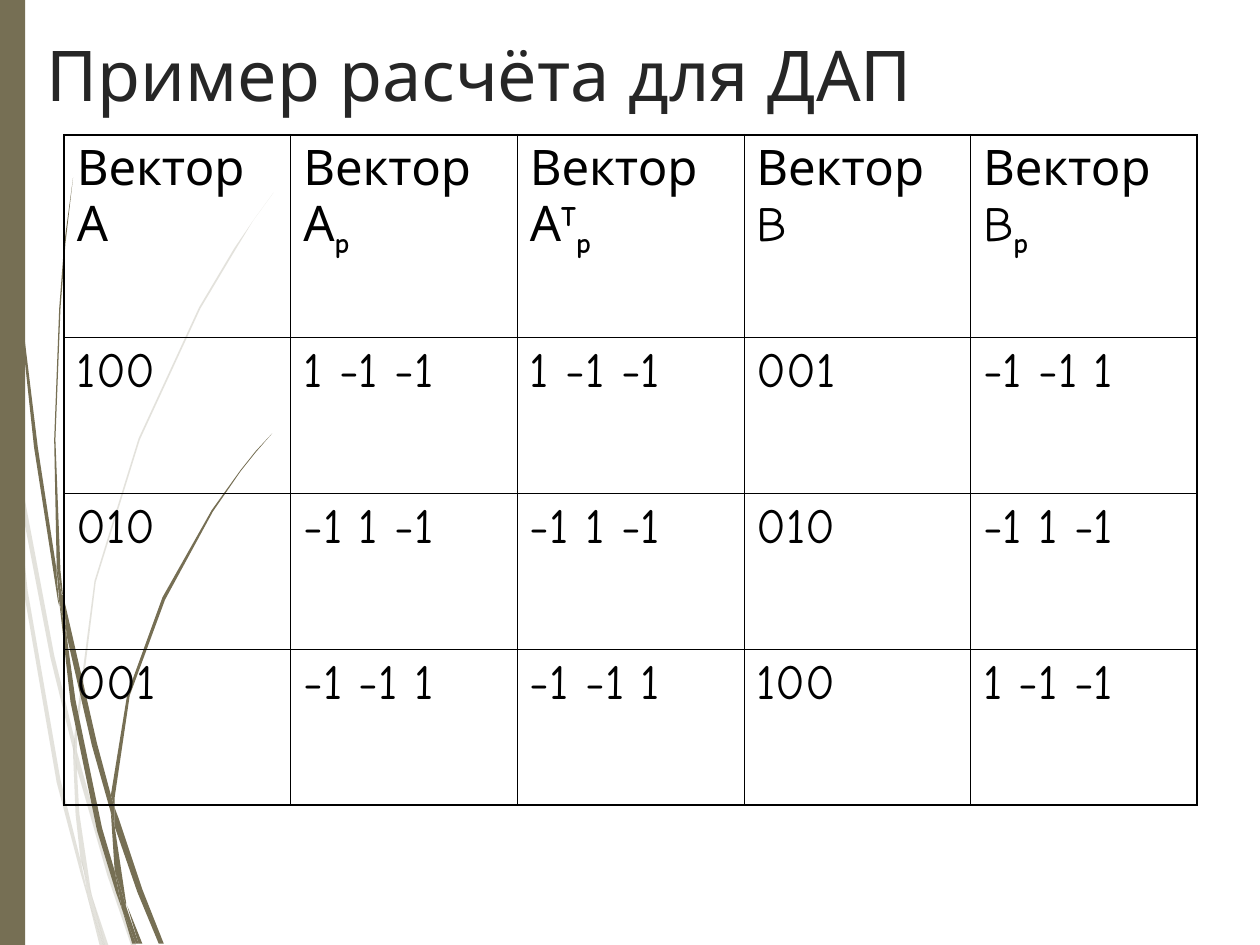
"""Build the slide with a worked example for bidirectional associative memory."""
import pptx
import pptx.dml.color
import pptx.enum.shapes
import pptx.enum.text
import pptx.oxml
import pptx.oxml.ns
import pptx.util

Pt = pptx.util.Pt
HUNDREDTH_INCH = Pt(0.72)
OLIVE, INK, BLACK = "766F54", "262626", "000000"
WIDE, HIGH = 720, 540
THIN, THICK = 0.45, 1.08

PALE_BLADES = [
    [(8, 350), (6, 322), (0, 282), (0, 299), (7, 344)],
    [(40, 522), (59, 599), (59, 586), (43, 520), (10, 345), (12, 376)],
    [(64, 607), (61, 596), (61, 610), (85, 694), (104, 750), (108, 750), (88, 692)],
    [(83, 750), (86, 750), (73, 711)],
    [(64, 683), (48, 619), (22, 469), (12, 376), (8, 350), (19, 470), (45, 621),
     (64, 693), (70, 714), (69, 707)],
    [(58, 599), (60, 646), (64, 683), (67, 692), (73, 711), (72, 706), (63, 646),
     (61, 610), (61, 608)],
    [(61, 584), (76, 462), (111, 349), (159, 245), (187, 198), (201, 175), (217, 153),
     (201, 175), (186, 197), (158, 244), (110, 348), (75, 461), (59, 584), (59, 586),
     (61, 596)],
    [(70, 714), (79, 750), (82, 750)],
    [(61, 608), (61, 610), (61, 596), (59, 586), (58, 599)],
    [(67, 692), (65, 683), (69, 707), (70, 714), (82, 750), (83, 750), (73, 711)],
]
DARK_BLADES = [
    [(5, 110), (14, 233), (27, 355), (46, 477), (47, 481), (45, 457), (45, 453),
     (30, 355), (15, 232), (6, 109), (4, 48), (3, 0), (2, 0), (3, 48)],
    [(73, 592), (88, 645), (88, 633), (88, 631), (77, 590), (50, 472), (53, 505)],
    [(94, 649), (91, 641), (91, 656), (109, 708), (126, 749), (130, 749), (113, 706)],
    [(91, 691), (81, 657), (60, 556), (53, 505), (47, 477), (56, 557), (77, 659),
     (92, 708), (97, 722), (96, 717)],
    [(50, 472), (48, 453), (44, 349), (48, 245), (52, 193), (58, 141), (51, 193),
     (47, 245), (43, 349), (45, 449), (49, 471)],
    [(110, 749), (113, 749), (101, 719)],
    [(47, 477), (53, 505), (50, 472), (49, 472), (45, 449), (45, 453)],
    [(91, 633), (103, 552), (131, 476), (169, 406), (191, 374), (203, 359), (216, 344),
     (203, 358), (191, 373), (168, 405), (129, 474), (101, 551), (88, 631), (91, 641)],
    [(97, 722), (105, 749), (108, 749)],
    [(88, 645), (91, 691), (96, 706), (100, 719), (100, 716), (91, 656), (90, 651)],
    [(88, 645), (90, 651), (91, 656), (91, 641), (88, 631), (88, 633)],
    [(96, 706), (91, 691), (96, 717), (97, 722), (108, 749), (110, 749), (100, 719)],
]

SUB, SUP = -25, 30
VECTOR_ROWS = [
    [[("Вектор А", 0)], [("Вектор А", 0), ("p", SUB)],
     [("Вектор А", 0), ("T", SUP), ("p", SUB)],
     [("Вектор B", 0)], [("Вектор B", 0), ("p", SUB)]],
] + [[[(value, 0)] for value in row] for row in (
    ("100", "1 -1 -1", "1 -1 -1", "001", "-1 -1 1"),
    ("010", "-1 1 -1", "-1 1 -1", "010", "-1 1 -1"),
    ("001", "-1 -1 1", "-1 -1 1", "100", "1 -1 -1"),
)]


def colour(hex_code):
    return pptx.dml.color.RGBColor.from_string(hex_code)


def apply(target, values):
    for name, value in values.items():
        setattr(target, name, value)


class SlideWriter:
    title_font = {"name": "Quicksand", "size": Pt(40), "bold": False}
    cell_font = {"name": "Comic Neue", "size": Pt(28)}

    def __init__(self, slide):
        self.slide = slide

    def paint(self, shape, hex_code, opacity=100):
        shape.shadow.inherit = False
        shape.line.fill.background()
        shape.fill.solid()
        shape.fill.fore_color.rgb = colour(hex_code)
        if opacity < 100:
            tint = shape.fill._xPr.find(".//" + pptx.oxml.ns.qn("a:srgbClr"))
            alpha = pptx.oxml.parse_xml(
                f'<a:alpha {pptx.oxml.ns.nsdecls("a")} val="{opacity * 1000}"/>')
            tint.append(alpha)

    def blade(self, outline, opacity):
        builder = self.slide.shapes.build_freeform(*outline[0], scale=HUNDREDTH_INCH)
        builder.add_line_segments(outline[1:], close=True)
        self.paint(builder.convert_to_shape(), OLIVE, opacity)

    def side_bar(self, width):
        bar = self.slide.shapes.add_shape(
            pptx.enum.shapes.MSO_SHAPE.RECTANGLE, 0, 0, Pt(width), Pt(HIGH))
        self.paint(bar, OLIVE)

    def title(self, text, left, top, width, height):
        heading = self.slide.shapes.title
        apply(heading, {"left": Pt(left), "top": Pt(top),
                        "width": Pt(width), "height": Pt(height)})
        apply(heading.text_frame, {
            "text": text, "word_wrap": True,
            "auto_size": pptx.enum.text.MSO_AUTO_SIZE.NONE,
            "vertical_anchor": pptx.enum.text.MSO_ANCHOR.MIDDLE})
        line = heading.text_frame.paragraphs[0]
        line.alignment = pptx.enum.text.PP_ALIGN.LEFT
        apply(line.font, self.title_font)
        line.font.color.rgb = colour(INK)

    def border(self, cell, side, weight):
        edge = pptx.oxml.parse_xml(
            f'<a:ln{side} {pptx.oxml.ns.nsdecls("a")} w="{Pt(weight)}"><a:solidFill>'
            f'<a:srgbClr val="{BLACK}"/></a:solidFill></a:ln{side}>')
        cell._tc.get_or_add_tcPr().append(edge)

    def cell_text(self, cell, parts):
        line = cell.text_frame.paragraphs[0]
        for text, baseline in parts:
            run = line.add_run()
            run.text = text
            apply(run.font, self.cell_font)
            run.font.bold = baseline != 0
            run.font.color.rgb = colour(BLACK)
            if baseline:
                run._r.get_or_add_rPr().set("baseline", str(baseline * 1000))

    def table(self, rows, left, top, column_width, row_heights):
        last_row, last_column = len(rows) - 1, len(rows[0]) - 1
        grid = self.slide.shapes.add_table(
            len(rows), len(rows[0]), Pt(left), Pt(top),
            Pt(column_width * len(rows[0])), Pt(sum(row_heights))).table
        apply(grid, {"first_row": False, "horz_banding": False})
        for column in grid.columns:
            column.width = Pt(column_width)
        for r, row in enumerate(rows):
            grid.rows[r].height = Pt(row_heights[r])
            for c, parts in enumerate(row):
                cell = grid.cell(r, c)
                outer = {"L": c == 0, "R": c == last_column,
                         "T": r == 0, "B": r == last_row}
                for side, is_outer in outer.items():
                    self.border(cell, side, THICK if is_outer else THIN)
                cell.fill.background()
                self.cell_text(cell, parts)


def main():
    deck = pptx.Presentation()
    apply(deck, {"slide_width": Pt(WIDE), "slide_height": Pt(HIGH)})
    writer = SlideWriter(deck.slides.add_slide(deck.slide_layouts[5]))
    for blades, opacity in ((PALE_BLADES, 20), (DARK_BLADES, 100)):
        for outline in blades:
            writer.blade(outline, opacity)
    writer.side_bar(14.4)
    writer.title("Пример расчёта для ДАП", 19.4, 12.2, 680.4, 59.8)
    writer.table(VECTOR_ROWS, 36.7, 77, 129.46, [115.8, 89.1, 89.1, 89.1])
    deck.save("out.pptx")


if __name__ == "__main__":
    main()
